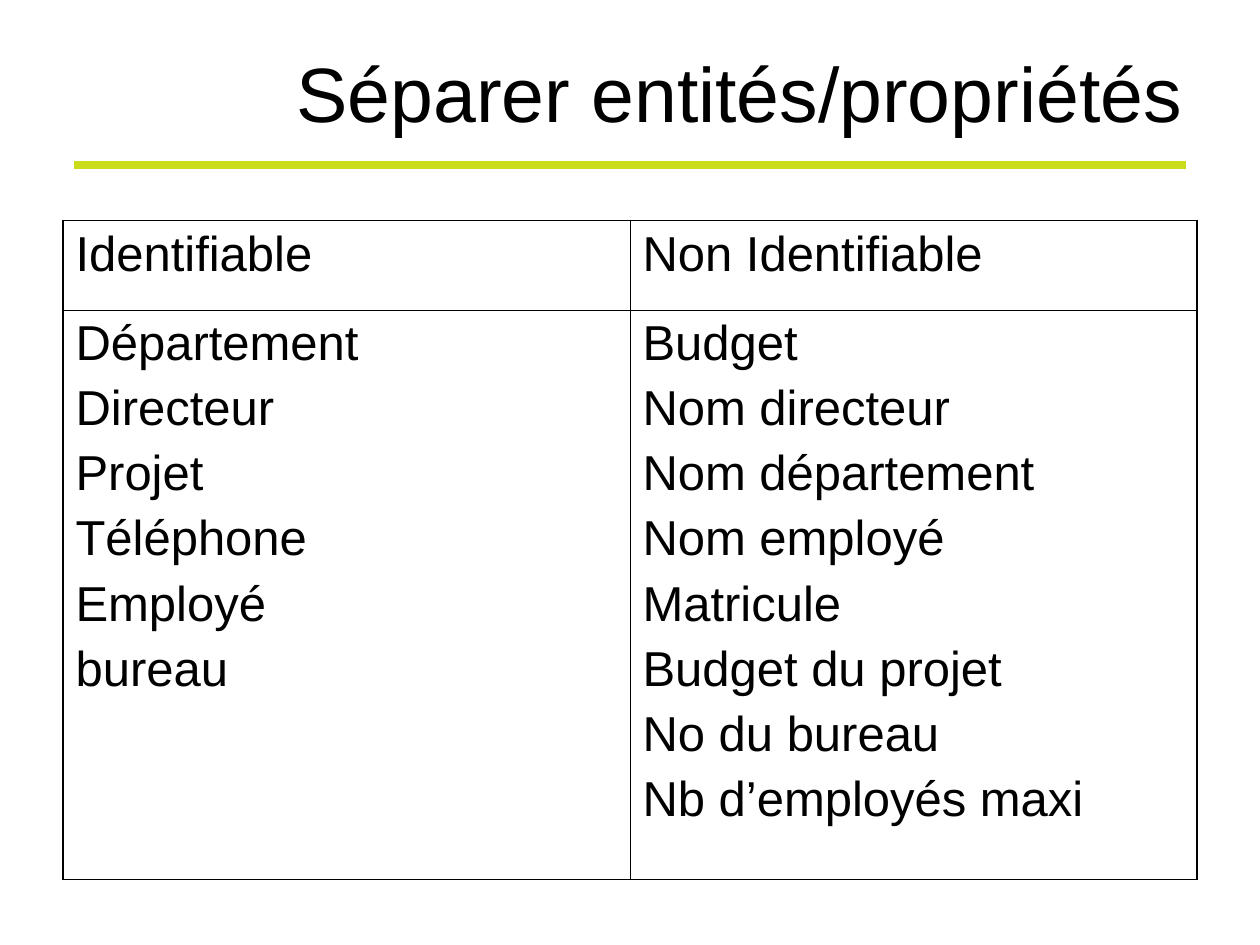
from lxml.etree import SubElement
from pptx import Presentation
from pptx.dml.color import RGBColor
from pptx.enum.shapes import MSO_CONNECTOR
from pptx.enum.text import MSO_ANCHOR, PP_ALIGN
from pptx.oxml.ns import qn
from pptx.util import Inches, Pt


class Theme:
    font = "Arial"
    ink = RGBColor(0, 0, 0)
    rule = RGBColor(0xCB, 0xDC, 0x1A)
    title = Pt(44)
    body = Pt(28)
    gap = Pt(6)
    thick = Pt(1.08)
    thin = Pt(0.45)


def style(par, size):
    for run in par.runs:
        run.font.name = Theme.font
        run.font.size = size
        run.font.color.rgb = Theme.ink


def border(cell, side, width):
    edge = SubElement(cell._tc.get_or_add_tcPr(), qn("a:" + side), w=str(width))
    fill = SubElement(edge, qn("a:solidFill"))
    SubElement(fill, qn("a:srgbClr"), val=str(Theme.ink))


prs = Presentation()
prs.slide_width, prs.slide_height = Inches(10), Inches(7.5)
slide = prs.slides.add_slide(prs.slide_layouts[5])

# Rule under the title
rule = slide.shapes.add_connector(
    MSO_CONNECTOR.STRAIGHT, Inches(0.59), Inches(1.31), Inches(9.41), Inches(1.31))
rule.line.color.rgb = Theme.rule
rule.line.width = Pt(4.5)
SubElement(rule._element.spPr, qn("a:effectLst"))

# Title
title = slide.shapes.title
title.left, title.top = Inches(0.5), Inches(0.3)
title.width, title.height = Inches(8.99), Inches(0.85)
title.text_frame.text = "Séparer entités/propriétés"
title.text_frame.vertical_anchor = MSO_ANCHOR.MIDDLE
head = title.text_frame.paragraphs[0]
head.alignment = PP_ALIGN.RIGHT
style(head, Theme.title)

# Table: one heading row, one row of lists
rows = [
    [["Identifiable"], ["Non Identifiable"]],
    [["Département", "Directeur", "Projet", "Téléphone", "Employé", "bureau"],
     ["Budget", "Nom directeur", "Nom département", "Nom employé", "Matricule",
      "Budget du projet", "No du bureau", "Nb d’employés maxi"]],
]
table = slide.shapes.add_table(
    2, 2, Inches(0.5), Inches(1.75), Inches(9), Inches(5.23)).table
table.first_row = table.horz_banding = False
table.rows[0].height, table.rows[1].height = Inches(0.71), Inches(4.52)

for r, row in enumerate(rows):
    for c, items in enumerate(row):
        cell = table.cell(r, c)
        cell.text_frame.text = "\n".join(items)
        for par in cell.text_frame.paragraphs:
            par.space_before = Theme.gap
            style(par, Theme.body)

        # Thick outer edges, thin inner ones
        outer = {"lnL": c == 0, "lnR": c == 1, "lnT": r == 0, "lnB": r == 1}
        for side, out in outer.items():
            border(cell, side, Theme.thick if out else Theme.thin)
        cell.fill.background()

prs.save("out.pptx")
